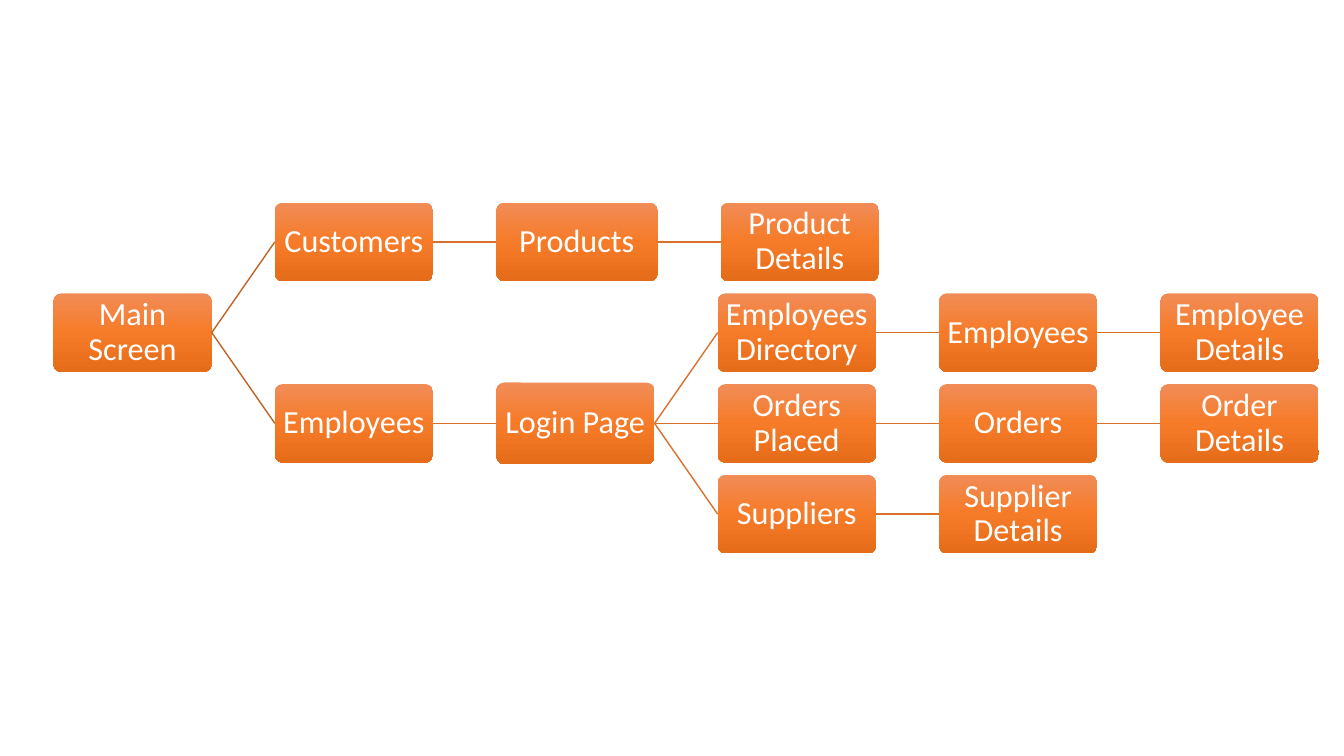
from copy import deepcopy

from pptx import Presentation
from pptx.dml.color import RGBColor
from pptx.enum.shapes import MSO_CONNECTOR, MSO_SHAPE
from pptx.enum.text import MSO_ANCHOR, PP_ALIGN
from pptx.oxml.ns import qn
from pptx.util import Inches, Pt
from lxml import etree

ROUNDED, STRAIGHT = MSO_SHAPE.ROUNDED_RECTANGLE, MSO_CONNECTOR.STRAIGHT
CENTER, MIDDLE = PP_ALIGN.CENTER, MSO_ANCHOR.MIDDLE
WHITE = RGBColor(0xFF, 0xFF, 0xFF)
BOX_GRADIENT = [
    (0, RGBColor(0xF1, 0x8C, 0x57)),
    (0.5, RGBColor(0xF6, 0x7B, 0x28)),
    (1, RGBColor(0xE5, 0x6C, 0x19)),
]
ROOT_LINK = RGBColor(0xBE, 0x64, 0x27)
BRANCH_LINK = RGBColor(0xD7, 0x71, 0x2C)
LEFT_SITE, RIGHT_SITE = 1, 3

# Grid in inches: left edge of the first column, centre of the first row
FIRST_COLUMN, COLUMN_STEP = 0.53, 2.196
FIRST_ROW, ROW_STEP = 2.4, 0.9
BOX_WIDTH, BOX_HEIGHT = 1.57, 0.78
WIDE_BOX, TALL_BOX = 1.6, 0.81

# Screens: key -> label, parent, column, row
SCREENS = {
    "main": ("Main Screen", None, 0, 1),
    "customers": ("Customers", "main", 1, 0),
    "products": ("Products", "customers", 2, 0),
    "product": ("Product Details", "products", 3, 0),
    "staff": ("Employees", "main", 1, 2),
    "login": ("Login Page", "staff", 2, 2),
    "directory": ("Employees Directory", "login", 3, 1),
    "employees": ("Employees", "directory", 4, 1),
    "employee": ("Employee Details", "employees", 5, 1),
    "placed": ("Orders Placed", "login", 3, 2),
    "orders": ("Orders", "placed", 4, 2),
    "order": ("Order Details", "orders", 5, 2),
    "suppliers": ("Suppliers", "login", 3, 3),
    "supplier": ("Supplier Details", "suppliers", 4, 3),
}

deck = Presentation()
deck.slide_width, deck.slide_height = Inches(13.33), Inches(7.5)
slide = deck.slides.add_slide(deck.slide_layouts[6])

boxes = {}
for key, (label, parent, column, row) in SCREENS.items():
    # Box, with the wide one pushing its child to the right
    width = WIDE_BOX if key == "products" else BOX_WIDTH
    height = TALL_BOX if key == "login" else BOX_HEIGHT
    left = FIRST_COLUMN + column * COLUMN_STEP
    if parent == "products":
        left += WIDE_BOX - BOX_WIDTH
    top = FIRST_ROW + row * ROW_STEP - height / 2
    box = slide.shapes.add_shape(
        ROUNDED, Inches(left), Inches(top), Inches(width), Inches(height))
    box.adjustments[0] = 0.1
    box.shadow.inherit = False
    box.line.fill.background()
    boxes[key] = box

    # Three-stop gradient, light at the top
    box.fill.gradient()
    box.fill.gradient_angle = 270
    stop_list = box.fill._fill._gradFill.find(qn("a:gsLst"))
    stop_list.append(deepcopy(stop_list[-1]))
    for stop, (position, color) in zip(box.fill.gradient_stops, BOX_GRADIENT):
        stop.position, stop.color.rgb = position, color

    # Label
    frame = box.text_frame
    frame.word_wrap = True
    frame.vertical_anchor = MIDDLE
    frame.margin_left = frame.margin_right = Inches(0.04)
    frame.margin_top = frame.margin_bottom = Inches(0.04)
    paragraph = frame.paragraphs[0]
    paragraph.text = label
    paragraph.alignment = CENTER
    paragraph.line_spacing = 0.9
    paragraph.font.name, paragraph.font.size = "Calibri", Pt(23)
    paragraph.font.color.rgb = WHITE

    # Link from the parent screen
    if parent:
        link = slide.shapes.add_connector(STRAIGHT, 0, 0, 0, 0)
        link.begin_connect(boxes[parent], RIGHT_SITE)
        link.end_connect(box, LEFT_SITE)
        link.line.width = Pt(1)
        link.line.color.rgb = ROOT_LINK if parent == "main" else BRANCH_LINK
        etree.SubElement(link._element.spPr, qn("a:effectLst"))

deck.save("out.pptx")
